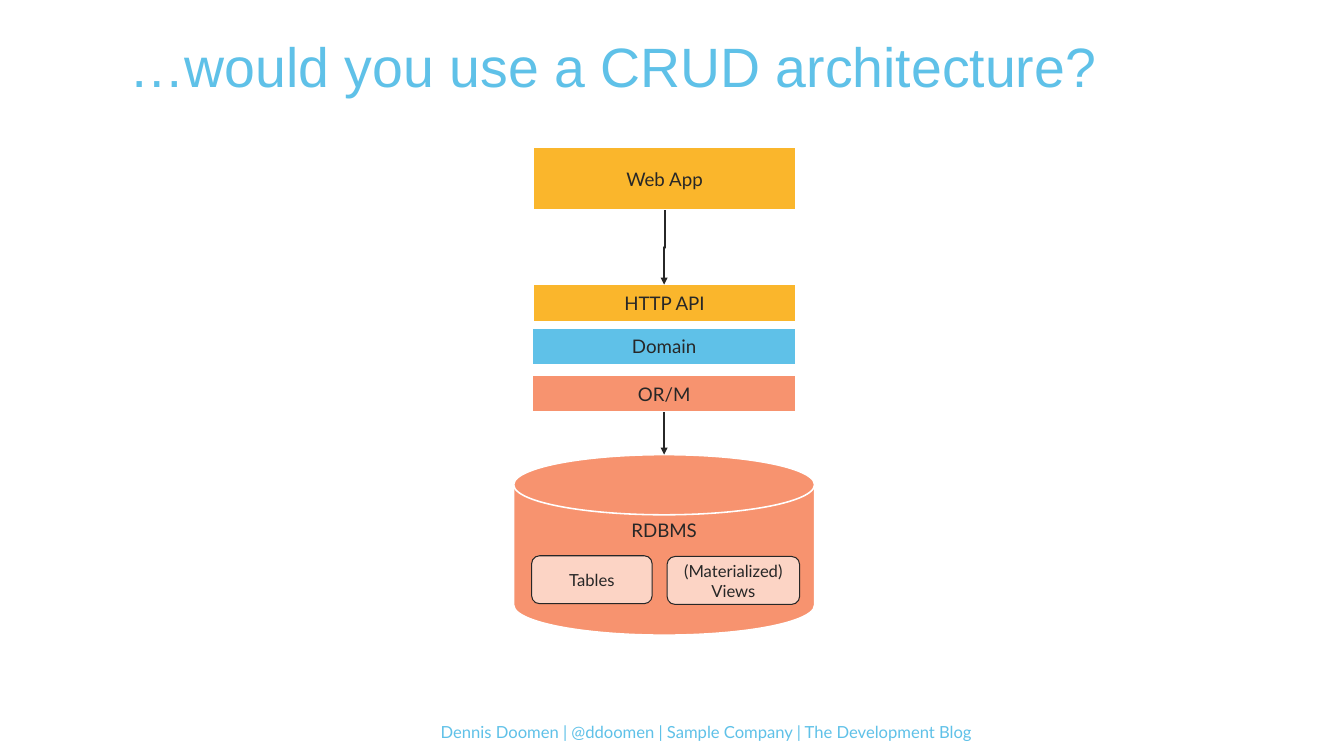
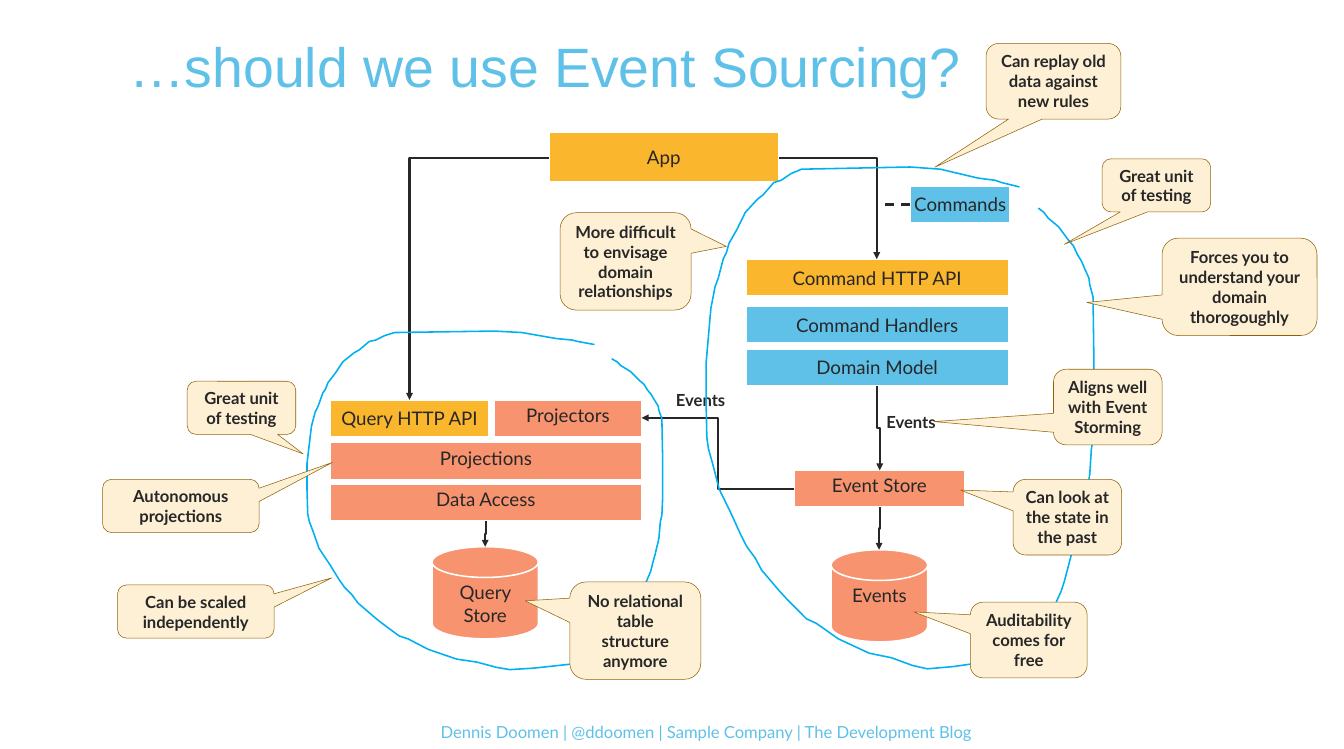
from dataclasses import dataclass

from lxml import etree
from pptx import Presentation
from pptx.dml.color import RGBColor
from pptx.enum import dml, shapes, text
from pptx.oxml import ns
from pptx.util import Inches, Pt

GOLD, BLUE, CORAL = "FAB62C", "5FC1E8", "F7936F"
PEACH, CREAM, BROWN = "FCD4C5", "FEF0D5", "906103"
INK, WHITE, SKY = "272727", "FFFFFF", "00B0F0"
FOOTER = "Dennis Doomen | @ddoomen | Sample Company | The Development Blog"
FORM = shapes.MSO_SHAPE
TOP, MID = text.MSO_ANCHOR.TOP, text.MSO_ANCHOR.MIDDLE
LEFT, CENTER = text.PP_ALIGN.LEFT, text.PP_ALIGN.CENTER
BAR = 0.49


@dataclass(frozen=True)
class Style:
    fill: str
    form: int = FORM.RECTANGLE
    edge: str = WHITE
    weight: float = 1.5
    size: float = 18
    bold: bool = False
    anchor: int = MID
    tight: bool = False


@dataclass(frozen=True)
class Box:
    style: Style
    words: str
    left: float
    top: float
    width: float
    height: float = BAR
    tip: tuple = ()


@dataclass(frozen=True)
class Link:
    start: tuple
    end: tuple
    bend: str = "down"


FRONT = Style(GOLD)
CORE = Style(BLUE, tight=True)
MAPPER = Style(CORAL)
STORE = Style(CORAL, anchor=TOP)
DISK = Style(CORAL, FORM.FLOWCHART_MAGNETIC_DISK, anchor=TOP)
PART = Style(PEACH, FORM.ROUNDED_RECTANGLE, INK, 1, 16)
NOTE = Style(CREAM, FORM.ROUNDED_RECTANGULAR_CALLOUT, BROWN, 0.5, 16, True)

CRUD_BOXES = [
    Box(FRONT, "HTTP API", 7.12, 3.8, 3.51),
    Box(CORE, "Domain", 7.11, 4.38, 3.52),
    Box(MAPPER, "OR/M", 7.11, 5.01, 3.52),
    Box(DISK, "RDBMS", 6.86, 6.07, 4.02, 2.41),
    Box(FRONT, "Web App", 7.12, 1.97, 3.51, 0.83),
    Box(PART, "Tables", 7.1, 7.42, 1.61, 0.64),
    Box(PART, "(Materialized) Views", 8.91, 7.43, 1.77, 0.64),
]
CRUD_LINKS = [Link((8.88, 2.81), (8.87, 3.8)), Link((8.87, 5.5), (8.87, 6.07))]

EVENT_BOXES = [
    Box(FRONT, "Command HTTP API", 9.96, 3.46, 3.51),
    Box(CORE, "Command Handlers", 9.96, 4.09, 3.51),
    Box(CORE, "Domain Model", 9.96, 4.66, 3.51),
    Box(CORE, "Commands", 12.16, 2.48, 1.33),
    Box(STORE, "Event Store", 10.61, 6.28, 2.27),
    Box(DISK, "Events", 11.1, 7.34, 1.29, 1.23),
    Box(FRONT, "App", 7.33, 1.77, 3.07, 0.66),
    Box(DISK, "Query Store", 5.77, 7.3, 1.42, 1.23),
    Box(FRONT, "Query HTTP API", 4.41, 5.34, 2.12),
    Box(STORE, "Projectors", 6.6, 5.34, 1.97),
    Box(STORE, "Projections", 4.41, 5.91, 4.16),
    Box(STORE, "Data Access", 4.41, 6.46, 4.16),
]
EVENT_LINKS = [
    Link((10.4, 2.11), (11.71, 3.46), "corner"),
    Link((7.33, 2.11), (5.47, 5.34), "corner"),
    Link((12.16, 2.73), (11.74, 2.73), "dash"),
    Link((11.75, 6.77), (11.74, 7.34)),
    Link((6.49, 6.96), (6.48, 7.3)),
    Link((10.61, 6.53), (8.57, 5.58), "side"),
    Link((11.71, 5.15), (11.75, 6.28)),
]
LABELS = [(8.93, 5.16), (11.74, 5.45)]
NOTES = [
    Box(NOTE, "Great unit\nof testing", 2.5, 5.09, 1.45, 0.71, (0.568, 0.866)),
    Box(NOTE, "Great unit\nof testing", 14.72, 2.12, 1.45, 0.71, (-0.848, 1.108)),
    Box(NOTE, "Auditability comes for free", 12.96, 8.04, 1.56, 1.01, (-0.984, -0.371)),
    Box(NOTE, "Can look at the state in the past", 13.53, 6.4, 1.45, 1.01, (-0.984, -0.358)),
    Box(NOTE, "Can be scaled independently", 1.57, 7.81, 2.09, 0.71, (0.868, -0.633)),
    Box(NOTE, "Autonomous projections", 1.37, 6.4, 2.09, 0.71, (0.969, -0.819)),
    Box(NOTE, "Aligns well with Event Storming", 14.07, 4.93, 1.45, 1.01, (-1.601, 0.192)),
    Box(NOTE, "Forces you to understand your domain thorogoughly",
        15.52, 3.18, 2.07, 1.3, (-0.985, 0.161)),
    Box(NOTE, "No relational table structure anymore",
        7.61, 7.77, 1.75, 1.3, (-0.841, -0.306)),
    Box(NOTE, "Can replay old data against new rules",
        13.17, 0.58, 1.8, 1.01, (-0.88, 1.136)),
    Box(NOTE, "More difficult to envisage domain relationships",
        7.48, 2.84, 1.75, 1.3, (0.769, -0.154)),
]

RING = (4.1, 4.42, 4.76, 4.52)
RINGS = [RING, (9.43, 2.23, 5.19, 6.7)]
CURVE = [
    (7.94, 4.6), (7.72, 4.56), (7.64, 4.54), (7.43, 4.52), (7.2, 4.48),
    (6.97, 4.44), (6.6, 4.42), (5.27, 4.44), (5.14, 4.48), (5.02, 4.54),
    (4.93, 4.56), (4.8, 4.67), (4.73, 4.71), (4.58, 4.83), (4.48, 4.98),
    (4.38, 5.11), (4.35, 5.19), (4.31, 5.25), (4.25, 5.42), (4.21, 5.5),
    (4.16, 5.69), (4.15, 5.77), (4.1, 6.19), (4.1, 6.53), (4.11, 6.86),
    (4.13, 6.96), (4.18, 7.09), (4.26, 7.32), (4.4, 7.53), (4.53, 7.74),
    (4.6, 7.84), (4.7, 7.94), (4.78, 8.05), (5, 8.24), (5.1, 8.32),
    (5.33, 8.49), (5.45, 8.53), (5.72, 8.67), (6.1, 8.8), (6.37, 8.84),
    (6.63, 8.91), (6.81, 8.94), (7.13, 8.92), (7.69, 8.86), (7.82, 8.8),
    (8.02, 8.7), (8.34, 8.42), (8.45, 8.24), (8.49, 8.15), (8.6, 7.84),
    (8.69, 7.63), (8.72, 7.51), (8.75, 7.4), (8.8, 7.19), (8.82, 6.96),
    (8.84, 6.88), (8.85, 6.65), (8.85, 6.12), (8.84, 5.59), (8.8, 5.48),
    (8.79, 5.42), (8.74, 5.34), (8.7, 5.27), (8.65, 5.21), (8.6, 5.13),
    (8.54, 5.08), (8.42, 4.96), (8.29, 4.88), (8.24, 4.83), (8.17, 4.79),
]


def tint(code: str) -> RGBColor:
    return RGBColor.from_string(code)


def write(frame, words: str, *, size: float = 18, color: str = INK,
          font: str = "Lato", bold: bool = False, align: int = CENTER,
          anchor: int = TOP, wrap: bool = True, tight: bool = False,
          indent: float = 0, lead: float = 1) -> None:
    frame.word_wrap = wrap
    frame.vertical_anchor = anchor
    if tight:
        frame.margin_left = frame.margin_right = 0
        frame.margin_top = frame.margin_bottom = 0
    para = frame.paragraphs[0]
    para.text = words
    para.alignment = align
    para.line_spacing = lead
    if indent:
        props = para._p.get_or_add_pPr()
        props.set("marL", str(Inches(indent)))
        props.set("indent", "0")
    for run in para.runs:
        run.font.name = font
        run.font.size = Pt(size)
        run.font.bold = bold
        run.font.color.rgb = tint(color)


def label(slide, words: str, place: tuple, **form) -> None:
    area = slide.shapes.add_textbox(*map(Inches, place))
    write(area.text_frame, words, **form)


def stroke(line, color: str, weight: float) -> None:
    line.color.rgb = tint(color)
    line.width = Pt(weight)


def draw(slide, box: Box) -> None:
    style = box.style
    place = (box.left, box.top, box.width, box.height)
    shape = slide.shapes.add_shape(style.form, *map(Inches, place))
    shape.shadow.inherit = False
    shape.fill.solid()
    shape.fill.fore_color.rgb = tint(style.fill)
    stroke(shape.line, style.edge, style.weight)
    for index, value in enumerate(box.tip):
        shape.adjustments[index] = value
    write(shape.text_frame, box.words, size=style.size, bold=style.bold,
          anchor=style.anchor, tight=style.tight)


def join(slide, link: Link) -> None:
    (x1, y1), (x2, y2) = link.start, link.end
    if link.bend == "down":
        mid_x, mid_y = (x1 + x2) / 2, (y1 + y2) / 2
        half, shift = (y2 - y1) / 2, (x2 - x1) / 2
        x1, x2 = mid_x - half, mid_x + half
        y1, y2 = mid_y + shift, mid_y - shift
    kind = shapes.MSO_CONNECTOR
    kind = kind.STRAIGHT if link.bend == "dash" else kind.ELBOW
    wire = slide.shapes.add_connector(kind, *map(Inches, (x1, y1, x2, y2)))
    stroke(wire.line, INK, 2.25)
    props = wire._element.spPr
    if link.bend == "down":
        props.find(ns.qn("a:xfrm")).set("rot", "5400000")
    if link.bend == "corner":
        props.find(ns.qn("a:prstGeom")).set("prst", "bentConnector2")
    if link.bend == "dash":
        wire.line.dash_style = dml.MSO_LINE.DASH
    else:
        tail = etree.SubElement(props.find(ns.qn("a:ln")), ns.qn("a:tailEnd"))
        tail.set("type", "triangle")
    etree.SubElement(props, ns.qn("a:effectLst"))


def trace(slide, place: tuple) -> None:
    left, top, width, height = place
    x0, y0, wide, high = RING
    dots = [(Inches(left + (x - x0) * width / wide),
             Inches(top + (y - y0) * height / high)) for x, y in CURVE]
    pen = slide.shapes.build_freeform(*dots[0])
    pen.add_line_segments(dots[1:], close=False)
    shape = pen.convert_to_shape()
    shape.shadow.inherit = False
    shape.fill.background()
    stroke(shape.line, SKY, 1.5)


def start(deck, title: str, boxes: list[Box], links: list[Link]):
    slide = deck.slides.add_slide(deck.slide_layouts[6])
    label(slide, FOOTER, (1.5, 9.62, 15.47, 0.34), size=16, color=BLUE,
          indent=0.4, lead=0.9)
    label(slide, title, (1.23, -0.04, 15.48, 1.93), size=53.3, color=BLUE,
          font="Arial", align=LEFT, anchor=MID, indent=0.4, lead=0.9)
    for box in boxes:
        draw(slide, box)
    for link in links:
        join(slide, link)
    return slide


def main() -> None:
    deck = Presentation()
    deck.slide_width, deck.slide_height = Inches(17.95), Inches(10)
    start(deck, "…would you use a CRUD architecture?", CRUD_BOXES, CRUD_LINKS)
    slide = start(deck, "…should we use Event Sourcing?", EVENT_BOXES, EVENT_LINKS)
    for left, top in LABELS:
        label(slide, "Events", (left, top, 0.88, 0.37), size=16, bold=True,
              align=LEFT, wrap=False)
    for ring in RINGS:
        trace(slide, ring)
    for note in NOTES:
        draw(slide, note)
    deck.save("out.pptx")


if __name__ == "__main__":
    main()
